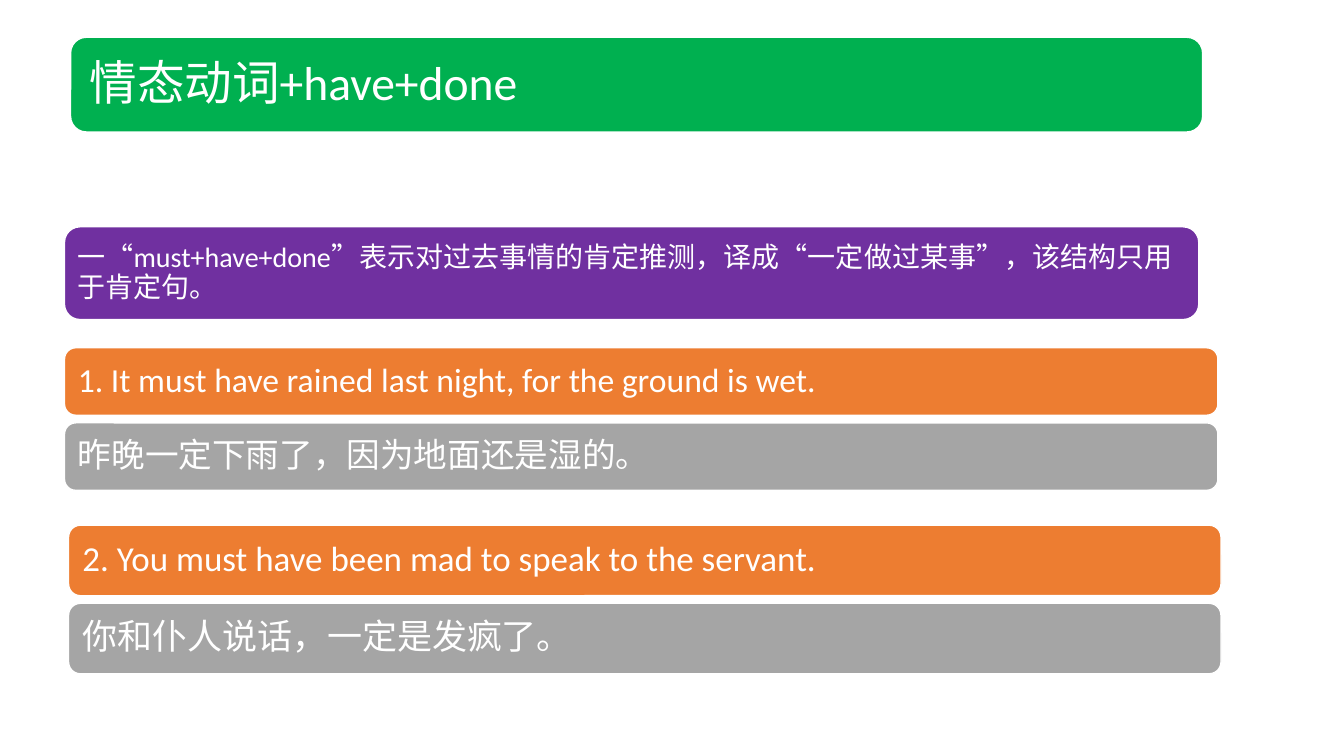
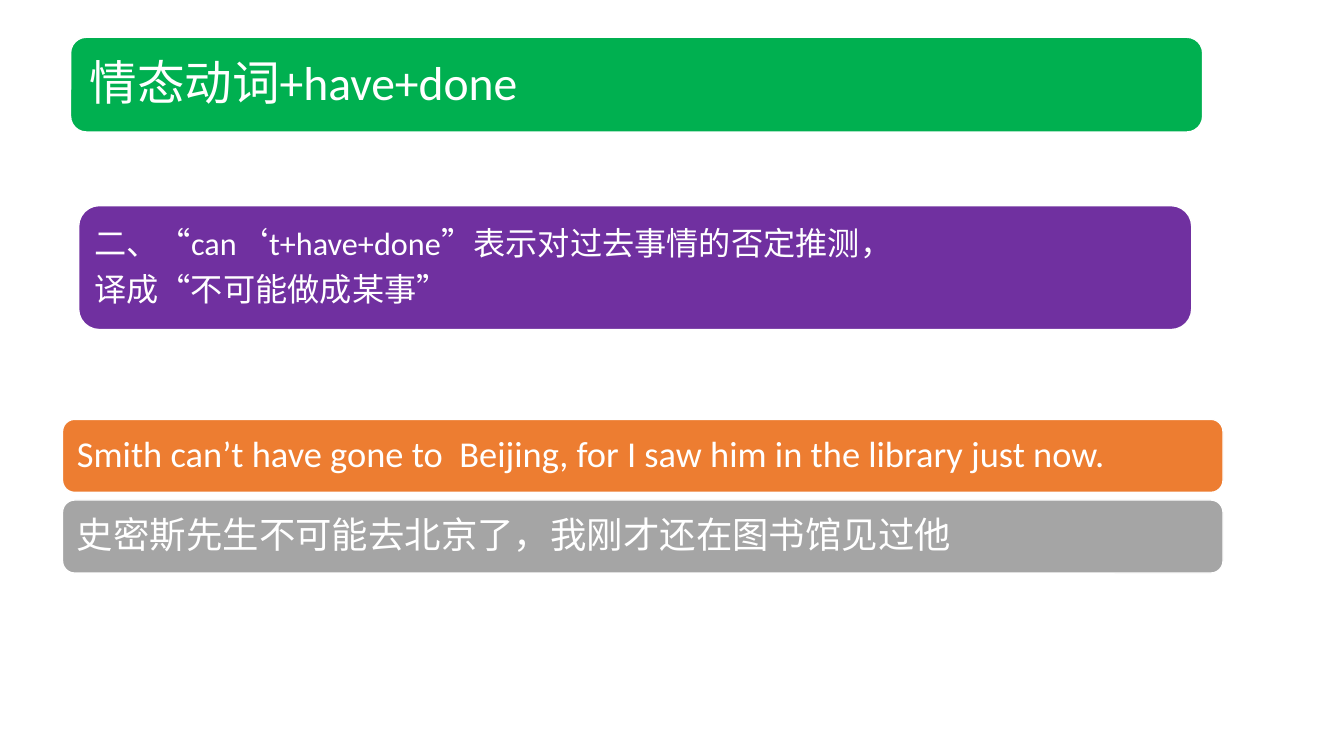
from dataclasses import dataclass

from pptx import Presentation
from pptx.dml.color import RGBColor as Color
from pptx.enum.shapes import MSO_SHAPE as Preset
from pptx.enum.text import MSO_ANCHOR as Anchor, PP_ALIGN as Align
from pptx.util import Inches, Pt


@dataclass(frozen=True)
class Theme:
    title: str = "00B050"
    rule: str = "7030A0"
    example: str = "ED7D31"
    translation: str = "A5A5A5"
    white: str = "FFFFFF"
    font: str = "Calibri"
    title_size: int = 34
    inset_share: float = 0.3
    line_spacing: float = 0.9
    after_share: float = 0.35
    pair_gap: float = 1.0


THEME = Theme()
WIDTH, HEIGHT = Inches(13.33), Inches(7.5)


def across(percent):
    return round(WIDTH * percent / 100)


def down(percent):
    return round(HEIGHT * percent / 100)


def write_text(frame, text, *, size, color=THEME.white, font=THEME.font):
    frame.word_wrap = True
    frame.vertical_anchor = Anchor.MIDDLE
    inset = Pt(size * THEME.inset_share)
    frame.margin_left = frame.margin_right = inset
    frame.margin_top = frame.margin_bottom = inset
    for index, line in enumerate(text.split("\n")):
        paragraph = frame.add_paragraph() if index else frame.paragraphs[0]
        paragraph.alignment = Align.LEFT
        paragraph.line_spacing = THEME.line_spacing
        paragraph.space_after = Pt(size * THEME.after_share)
        run = paragraph.add_run()
        run.text = line
        run.font.size = Pt(size)
        run.font.name = font
        run.font.color.rgb = Color.from_string(color)


def add_band(slide, text, box, *, fill, size):
    left, top, width, height = box
    shape = slide.shapes.add_shape(
        Preset.ROUNDED_RECTANGLE,
        across(left), down(top), across(width), down(height),
    )
    shape.shadow.inherit = False
    shape.fill.solid()
    shape.fill.fore_color.rgb = Color.from_string(fill)
    shape.line.color.rgb = Color.from_string(THEME.white)
    shape.line.width = Pt(1)
    write_text(shape.text_frame, text, size=size)


def add_example(slide, sentence, translation, box, *, size):
    left, top, width, height = box
    rows = ((sentence, THEME.example), (translation, THEME.translation))
    for row, (text, fill) in enumerate(rows):
        row_top = top + row * (height + THEME.pair_gap)
        add_band(slide, text, (left, row_top, width, height), fill=fill, size=size)


def add_lesson_slide(presentation, rule, rule_box, *, rule_size):
    slide = presentation.slides.add_slide(presentation.slide_layouts[6])
    add_band(slide, "情态动词+have+done", (5.25, 4.93, 84.23, 12.53),
             fill=THEME.title, size=THEME.title_size)
    add_band(slide, rule, rule_box, fill=THEME.rule, size=rule_size)
    return slide


def main():
    presentation = Presentation()
    presentation.slide_width, presentation.slide_height = WIDTH, HEIGHT

    must_slide = add_lesson_slide(
        presentation,
        "一“must+have+done”表示对过去事情的肯定推测，译成“一定做过某事”，该结构只用于肯定句。",
        (4.8, 30, 84.4, 12.27), rule_size=20,
    )
    add_example(
        must_slide,
        "1. It must have rained last night, for the ground is wet.",
        "昨晚一定下雨了，因为地面还是湿的。",
        (4.8, 46, 85.82, 8.93), size=24,
    )
    add_example(
        must_slide,
        "2. You must have been mad to speak to the servant.",
        "你和仆人说话，一定是发疯了。",
        (5.1, 69.47, 85.75, 9.33), size=25,
    )

    cannot_slide = add_lesson_slide(
        presentation,
        "二、“can‘t+have+done”表示对过去事情的否定推测，\n译成“不可能做成某事”",
        (5.85, 27.2, 82.82, 16.4), rule_size=23,
    )
    add_example(
        cannot_slide,
        "Smith can’t have gone to  Beijing, for I saw him in the library just now.",
        "史密斯先生不可能去北京了，我刚才还在图书馆见过他",
        (4.65, 55.47, 86.35, 9.67), size=26,
    )

    presentation.save("out.pptx")


if __name__ == "__main__":
    main()
